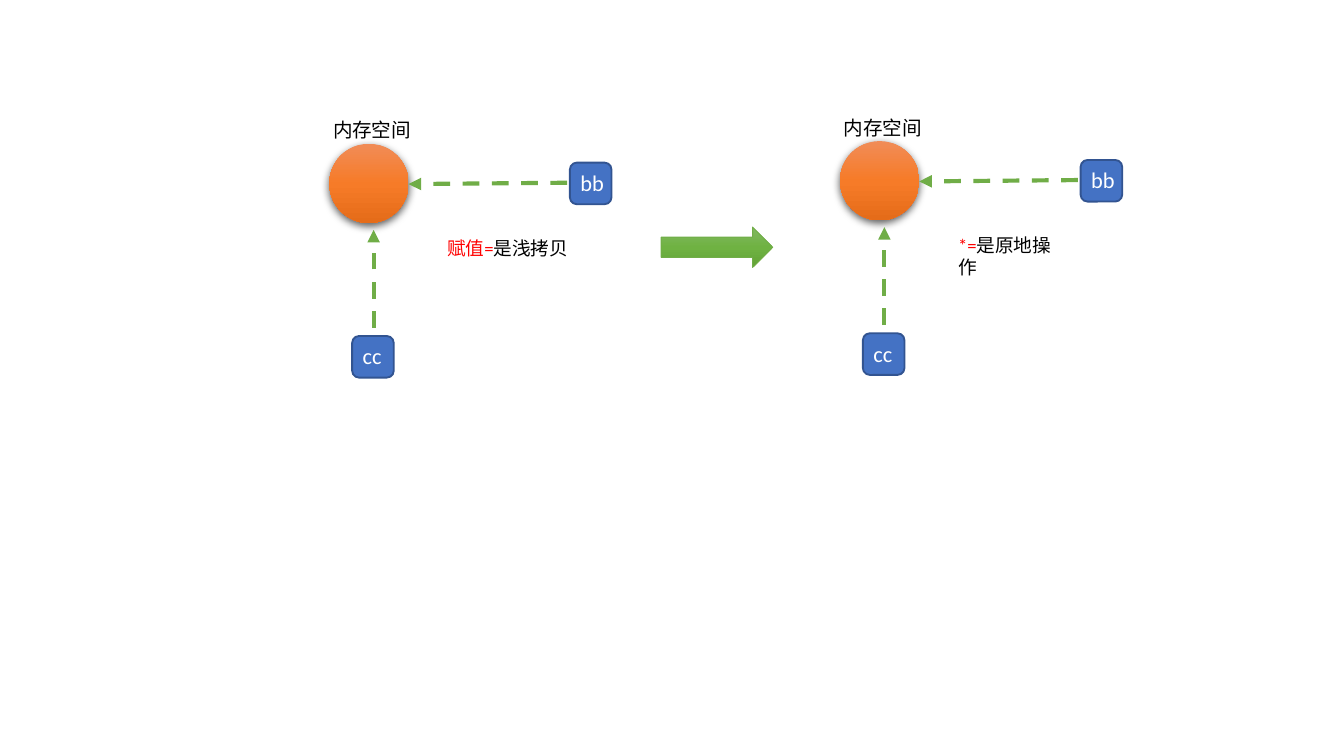
from lxml import etree
from pptx import Presentation
from pptx import util as u
from pptx.dml.color import RGBColor
from pptx.enum import dml, shapes, text
from pptx.oxml.ns import qn

FONT = "Calibri"
GREEN, BLUE, NAVY = "70AD47", "4472C4", "325491"
BLACK, WHITE, RED = "000000", "FFFFFF", "FF0000"
ORANGE_STOPS = [(0, "F18C57"), (50, "F67B28"), (100, "E56C19")]
GREEN_STOPS = [(0, "81B861"), (50, "6FB242"), (100, "62A336")]

# Each diagram: left and top of its memory circle, then its caption
DIAGRAMS = [
    {"origin": (2.45, 1.07), "caption": [("赋值=", RED), ("是浅拷贝", BLACK)],
     "caption_size": (1.43, 0.27)},
    {"origin": (6.25, 1.05), "caption": [("*=", RED), ("是原地操作", BLACK)],
     "caption_size": (0.99, 0.44)},
]
# Variables: name, square, label box (offsets from the circle), arrow from and to
VARIABLES = [
    ("cc", (0.17, 1.43), (0.15, 1.43, 0.36, 0.3), (0.33, 1.37), (0.33, 0.64)),
    ("bb", (1.79, 0.14), (1.77, 0.14, 0.44, 0.3), (1.77, 0.29), (0.59, 0.3)),
]
CIRCLE, SQUARE = 0.59, 0.31

deck = Presentation()
deck.slide_width = u.Inches(10)
deck.slide_height = deck.slide_width * 9 // 16
page = deck.slides.add_slide(deck.slide_layouts[6])


def color(value):
    return RGBColor.from_string(value)


def add_shape(kind, left, top, width, height):
    shape = page.shapes.add_shape(kind, *map(u.Inches, (left, top, width, height)))
    shape.shadow.inherit = False
    return shape


def set_line(shape, value, width):
    shape.line.color.rgb = color(value)
    shape.line.width = u.Pt(width)


def set_gradient(shape, stops):
    """Fill from top to bottom with (percent, colour) stops."""
    shape.fill.gradient()
    shape.fill.gradient_angle = 270
    stop_list = shape._element.spPr.find(qn("a:gradFill")).find(qn("a:gsLst"))
    for old in list(stop_list):
        stop_list.remove(old)
    for percent, value in stops:
        stop = etree.SubElement(stop_list, qn("a:gs"), pos=str(percent * 1000))
        etree.SubElement(stop, qn("a:srgbClr"), val=value)


def add_drop_shadow(shape):
    effects = shape._element.spPr.find(qn("a:effectLst"))
    shadow = etree.SubElement(effects, qn("a:outerShdw"), blurRad=str(u.Pt(4.5)),
                              dist=str(u.Pt(1.5)), dir="5400000", rotWithShape="0")
    shade = etree.SubElement(shadow, qn("a:srgbClr"), val=BLACK)
    etree.SubElement(shade, qn("a:alpha"), val="63000")


def add_text(left, top, width, height, runs, size, wrap=True):
    box = page.shapes.add_textbox(*map(u.Inches, (left, top, width, height)))
    box.text_frame.word_wrap = wrap
    box.text_frame.auto_size = text.MSO_AUTO_SIZE.SHAPE_TO_FIT_TEXT
    para = box.text_frame.paragraphs[0]
    for words, value in runs:
        span = para.add_run()
        span.text = words
        span.font.name, span.font.size = FONT, u.Pt(size)
        span.font.color.rgb = color(value)


def add_dashed_arrow(start, end):
    arrow = page.shapes.add_connector(shapes.MSO_CONNECTOR.STRAIGHT,
                                      *map(u.Inches, start + end))
    set_line(arrow, GREEN, 2.25)
    arrow.line.dash_style = dml.MSO_LINE.DASH
    etree.SubElement(arrow.line._get_or_add_ln(), qn("a:tailEnd"), type="triangle")
    etree.SubElement(arrow._element.spPr, qn("a:effectLst"))


def add_diagram(origin, caption, caption_size):
    x, y = origin

    def at(offset):
        return x + offset[0], y + offset[1]

    circle = add_shape(shapes.MSO_SHAPE.OVAL, x, y, CIRCLE, CIRCLE)
    set_gradient(circle, ORANGE_STOPS)
    circle.line.fill.background()
    add_drop_shadow(circle)
    for name, square_at, label, start, end in VARIABLES:
        add_dashed_arrow(at(start), at(end))
        square = add_shape(shapes.MSO_SHAPE.ROUNDED_RECTANGLE, *at(square_at),
                           SQUARE, SQUARE)
        square.fill.solid()
        square.fill.fore_color.rgb = color(BLUE)
        set_line(square, NAVY, 1)
        add_text(*at(label), *label[2:], [(name, WHITE)], 12)
    add_text(*at((-0.07, -0.24)), 0.79, 0.28, [("内存空间", BLACK)], 10.5, wrap=False)
    add_text(*at((0.78, 0.64)), *caption_size, caption, 10)


for diagram in DIAGRAMS:
    add_diagram(**diagram)

step = add_shape(shapes.MSO_SHAPE.RIGHT_ARROW, 4.92, 1.69, 0.83, 0.3)
set_gradient(step, GREEN_STOPS)
set_line(step, GREEN, 0.5)

deck.save("out.pptx")
